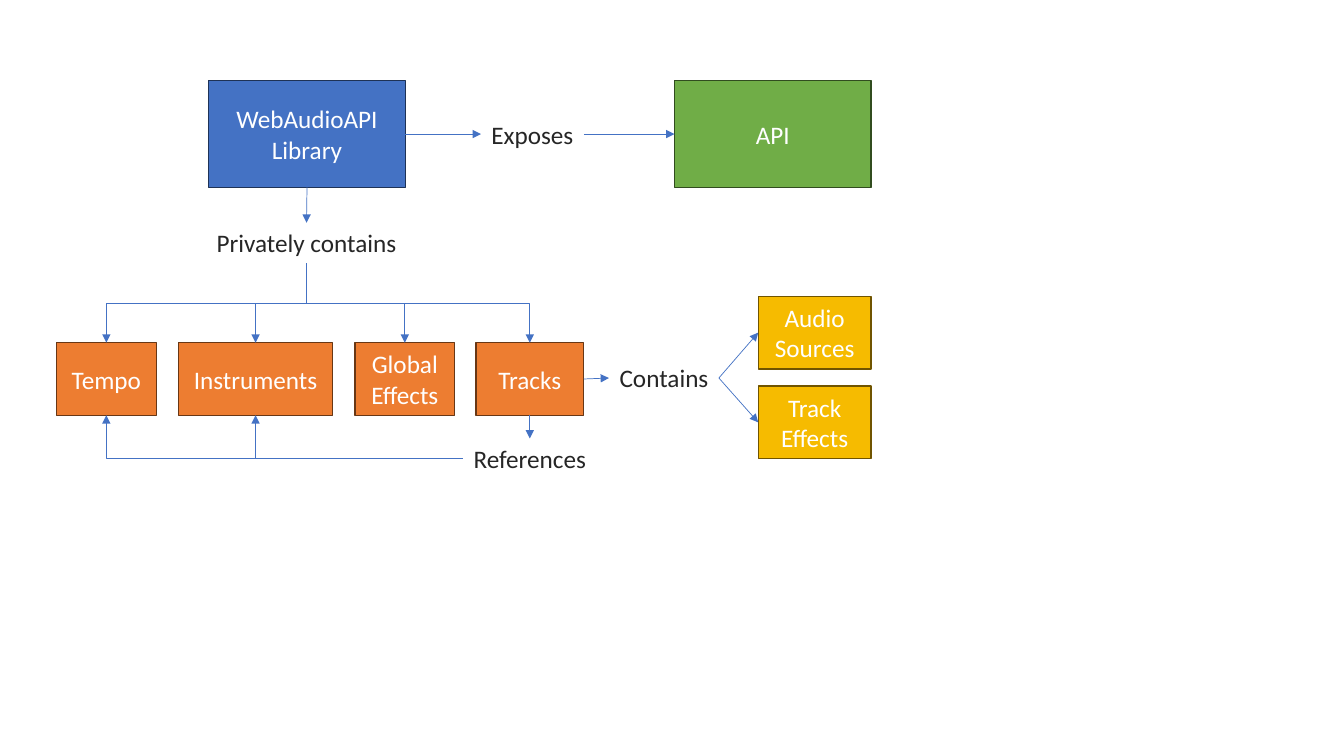
from lxml import etree
from pptx import Presentation
from pptx.dml.color import RGBColor
from pptx.enum.shapes import MSO_CONNECTOR as Connector, MSO_SHAPE as Shape
from pptx.enum.text import MSO_ANCHOR as Anchor, MSO_AUTO_SIZE as AutoSize, PP_ALIGN as Align
from pptx.oxml.ns import qn
from pptx.util import Inches, Pt

COLORS = {
    "library": "4472C4", "library_line": "1E3256",
    "api": "70AD47", "api_line": "314C1F",
    "member": "ED7D31", "member_line": "683715",
    "content": "F6BB00", "content_line": "705400",
    "arrow": "4472C4", "light": "FFFFFF", "dark": "262626",
}
# Row tops and heights, and the right-hand column, in inches
TOP_ROW, MEMBER_ROW = (0.8, 1.06), (3.4, 0.72)
LARGE_WIDTH, RIGHT_EDGE, CONTENT_WIDTH = 1.95, 8.64, 1.12
LABEL_HEIGHT = 0.4

# Boxes: text, color, left, width, (top, height)
BOXES = [
    ("WebAudioAPI Library", "library", 2.07, LARGE_WIDTH, TOP_ROW),
    ("API", "api", RIGHT_EDGE - LARGE_WIDTH, LARGE_WIDTH, TOP_ROW),
    ("Tempo", "member", 0.56, 0.99, MEMBER_ROW),
    ("Instruments", "member", 1.77, 1.53, MEMBER_ROW),
    ("Global Effects", "member", 3.52, 0.99, MEMBER_ROW),
    ("Tracks", "member", 4.72, 1.07, MEMBER_ROW),
]
BOXES += [(text, "content", RIGHT_EDGE - CONTENT_WIDTH, CONTENT_WIDTH, (top, 0.72))
          for text, top in (("Audio Sources", 2.94), ("Track Effects", 3.83))]
# Labels: text, left, top, width
LABELS = [
    ("Privately contains", 2.04, 2.21, 2.0),
    ("Exposes", 4.77, 1.13, 1.02),
    ("References", 4.59, 4.35, 1.33),
    ("Contains", 6.04, 3.55, 1.09),
]
# Arrows: start, side, end, side, route
TOP, LEFT, BOTTOM, RIGHT = range(4)
ARROWS = [
    ("WebAudioAPI Library", BOTTOM, "Privately contains", TOP, "straight"),
    ("WebAudioAPI Library", RIGHT, "Exposes", LEFT, "straight"),
    ("Exposes", RIGHT, "API", LEFT, "straight"),
    ("Tracks", BOTTOM, "References", TOP, "straight"),
    ("Tracks", RIGHT, "Contains", LEFT, "straight"),
]
ARROWS += [("Contains", RIGHT, name, LEFT, "straight")
           for name in ("Audio Sources", "Track Effects")]
ARROWS += [("Privately contains", BOTTOM, name, TOP, "branch")
           for name in ("Tempo", "Instruments", "Global Effects", "Tracks")]
ARROWS += [("References", LEFT, name, BOTTOM, "corner")
           for name in ("Instruments", "Tempo")]

presentation = Presentation()
presentation.slide_width, presentation.slide_height = Inches(13.33), Inches(7.5)
slide = presentation.slides.add_slide(presentation.slide_layouts[6])
shapes = {}


def write(shape, text, color, frame_format):
    frame = shape.text_frame
    for name, value in frame_format.items():
        setattr(frame, name, value)
    paragraph = frame.paragraphs[0]
    paragraph.text, paragraph.alignment = text, Align.CENTER
    font = paragraph.runs[0].font
    for name, value in {"name": "Calibri", "size": Pt(18)}.items():
        setattr(font, name, value)
    font.color.rgb = RGBColor.from_string(COLORS[color])
    shapes[text] = shape


def set_line(line, color, width):
    line.color.rgb = RGBColor.from_string(COLORS[color])
    line.width = Pt(width)


def turn_branch(connector):
    """Turn an elbow so that it leaves and arrives vertically."""
    goes_left = connector.end_x < connector.begin_x
    left, top = connector.left, connector.top
    width, height = connector.width, connector.height
    connector.left = left + (width - height) // 2
    connector.top = top + (height - width) // 2
    connector.width, connector.height = height, width
    xfrm = connector._element.spPr.find(qn("a:xfrm"))
    xfrm.set("rot", str((90 if goes_left else 270) * 60000))
    xfrm.set("flipH", "0" if goes_left else "1")


# Boxes
for text, color, left, width, (top, height) in BOXES:
    box = slide.shapes.add_shape(Shape.RECTANGLE, *map(Inches, (left, top, width, height)))
    box.shadow.inherit = False
    box.fill.solid()
    box.fill.fore_color.rgb = RGBColor.from_string(COLORS[color])
    set_line(box.line, color + "_line", 1)
    write(box, text, "light", {"word_wrap": True, "vertical_anchor": Anchor.MIDDLE})

# Labels
for text, left, top, width in LABELS:
    label = slide.shapes.add_textbox(*map(Inches, (left, top, width, LABEL_HEIGHT)))
    write(label, text, "dark",
          {"word_wrap": False, "auto_size": AutoSize.SHAPE_TO_FIT_TEXT})

# Arrows
for start, start_side, end, end_side, route in ARROWS:
    kind = Connector.STRAIGHT if route == "straight" else Connector.ELBOW
    connector = slide.shapes.add_connector(kind, 0, 0, 0, 0)
    connector.begin_connect(shapes[start], start_side)
    connector.end_connect(shapes[end], end_side)
    set_line(connector.line, "arrow", 0.5)
    properties = connector._element.spPr
    etree.SubElement(properties.find(qn("a:ln")), qn("a:tailEnd"), type="triangle")
    etree.SubElement(properties, qn("a:effectLst"))
    if route == "branch":
        turn_branch(connector)
    elif route == "corner":
        properties.find(qn("a:prstGeom")).set("prst", "bentConnector2")

presentation.save("out.pptx")
